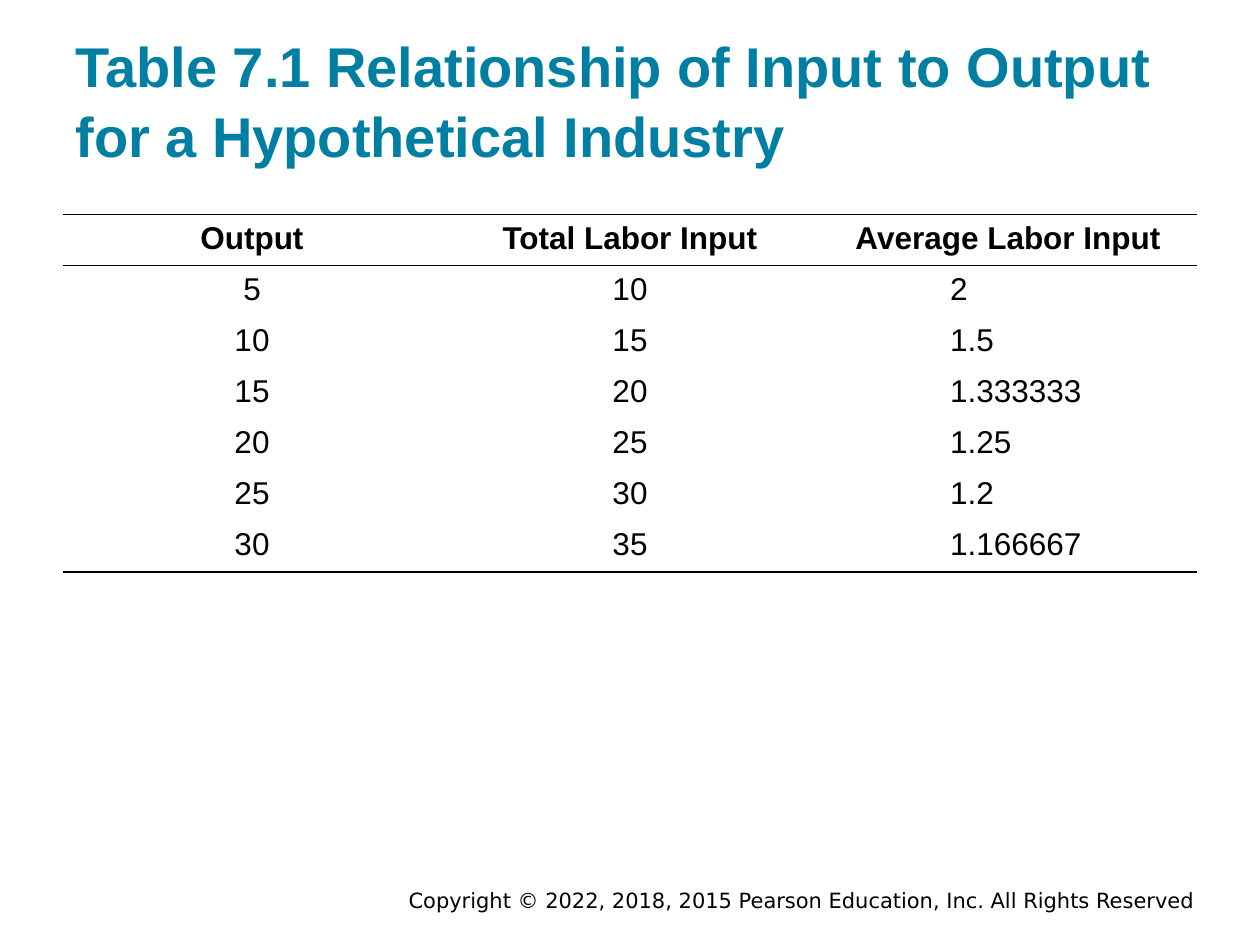
from pptx import Presentation
from pptx.dml.color import RGBColor
from pptx.enum.text import MSO_ANCHOR, PP_ALIGN
from pptx.oxml import parse_xml
from pptx.oxml.ns import nsdecls
from pptx.util import Cm, Pt

LEFT, MID, RIGHT = PP_ALIGN.LEFT, PP_ALIGN.CENTER, PP_ALIGN.RIGHT
LOW, CENTRE = MSO_ANCHOR.BOTTOM, MSO_ANCHOR.MIDDLE

HEADS = ["Output", "Total Labor Input", "Average Labor Input"]
ROWS = [
    ["5", "10", "2"],
    ["10", "15", "1.5"],
    ["15", "20", "1.333333"],
    ["20", "25", "1.25"],
    ["25", "30", "1.2"],
    ["30", "35", "1.166667"],
]


def color(code):
    return RGBColor.from_string(code)


class Sheet:
    """Holds the style and the current slide."""

    ink, teal = "000000", "007FA3"
    face, small = "Arial", "DejaVu Sans"

    def __init__(self, slide):
        self.slide = slide

    def style(self, para, size, code, face, bold=False, align=LEFT):
        para.alignment = align
        for run in para.runs:
            font = run.font
            font.size, font.name, font.bold = Pt(size), face, bold
            font.color.rgb = color(code)

    def text(self, words, box, inset, anchor):
        frame = self.slide.shapes.add_textbox(*map(Cm, box)).text_frame
        frame.word_wrap = True
        frame.vertical_anchor = anchor
        frame.margin_top = frame.margin_bottom = Cm(inset)
        frame.text = words
        return frame.paragraphs[0]

    def title(self, words):
        para = self.text(words, (1.27, 0.61, 22.86, 3.05), 0.25, LOW)
        para.line_spacing = 1.05
        self.style(para, 32, self.teal, self.face, True)

    def footer(self, words):
        para = self.text(words, (4.45, 17.86, 19.89, 0.56), 0.13, CENTRE)
        self.style(para, 12, self.ink, self.small, align=RIGHT)

    def edges(self, cell, ruled):
        props = cell._tc.get_or_add_tcPr()
        for spot, side in enumerate("LRTB"):
            paint = "<a:noFill/>"
            if side in ruled:
                paint = f'<a:solidFill><a:srgbClr val="{self.ink}"/></a:solidFill>'
            line = f'<a:ln{side} {nsdecls("a")} w="12700">{paint}</a:ln{side}>'
            props.insert(spot, parse_xml(line))

    def table(self, heads, rows, box, indent):
        data = [heads] + rows
        frame = self.slide.shapes.add_table(len(data), len(heads), *map(Cm, box))
        grid = frame.table
        grid.first_row = grid.horz_banding = False
        rules = {0: "TB", 1: "T", len(rows): "B"}
        for i, row in enumerate(data):
            for j, words in enumerate(row):
                cell = grid.cell(i, j)
                cell.text = words
                cell.fill.background()
                self.edges(cell, rules.get(i, ""))
                para = cell.text_frame.paragraphs[0]
                shift = i > 0 and j == len(heads) - 1
                if shift:
                    para._p.get_or_add_pPr().set("marL", str(Cm(indent)))
                align = LEFT if shift else MID
                self.style(para, 18, self.ink, self.face, i == 0, align)


def main():
    deck = Presentation()
    deck.slide_width, deck.slide_height = Cm(25.4), Cm(19.05)
    sheet = Sheet(deck.slides.add_slide(deck.slide_layouts[6]))
    sheet.footer(
        "Copyright © 2022, 2018, 2015 Pearson Education, Inc. All Rights Reserved"
    )
    sheet.title("Table 7.1 Relationship of Input to Output for a Hypothetical Industry")
    sheet.table(HEADS, ROWS, (1.27, 4.32, 22.86, 7.21), 2.39)
    deck.save("out.pptx")


if __name__ == "__main__":
    main()
